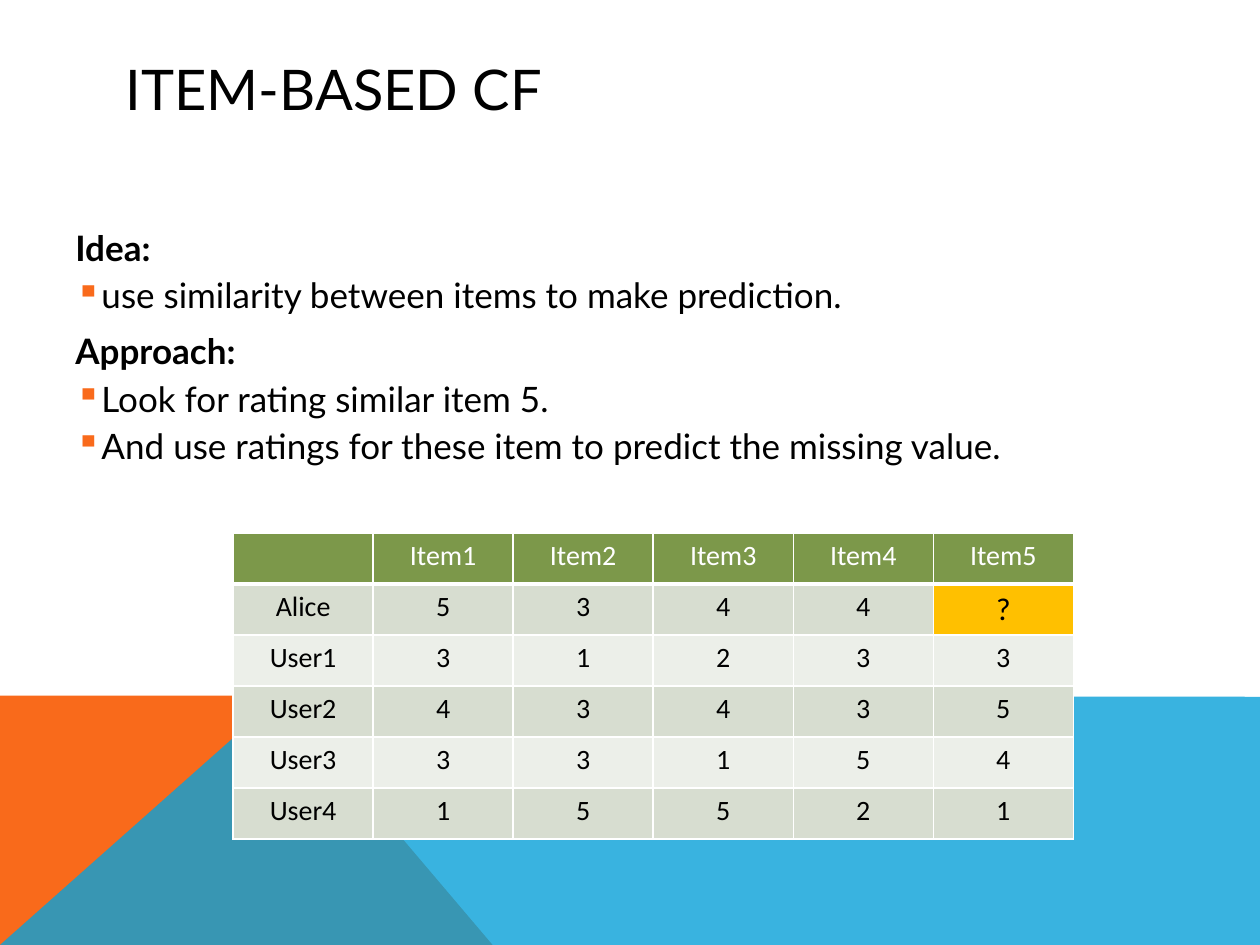
import pptx
import pptx.util
import pptx.dml.color
import pptx.enum.text
import pptx.oxml
import pptx.oxml.ns
from lxml import etree

Inches = pptx.util.Inches
Pt = pptx.util.Pt
RGBColor = pptx.dml.color.RGBColor
qn = pptx.oxml.ns.qn

BLACK = RGBColor(0x00, 0x00, 0x00)
WHITE = RGBColor(0xFF, 0xFF, 0xFF)
ORANGE = RGBColor(0xF9, 0x6A, 0x1B)
BLUE = RGBColor(0x08, 0xA1, 0xD9)
GREEN = RGBColor(0x7C, 0x98, 0x4A)
AMBER = RGBColor(0xFF, 0xC0, 0x00)
BANDS = [RGBColor(0xD7, 0xDD, 0xD0), RGBColor(0xEC, 0xEF, 0xE9)]

TITLE = "ITEM-BASED CF"
SECTIONS = [
    ("Idea:", ["use similarity between items to make prediction."]),
    ("Approach:", [
        "Look for rating similar item 5.",
        "And use ratings for these item to predict the missing value.",
    ]),
]
RATINGS = [
    ["", "Item1", "Item2", "Item3", "Item4", "Item5"],
    ["Alice", "5", "3", "4", "4", "?"],
    ["User1", "3", "1", "2", "3", "3"],
    ["User2", "4", "3", "4", "3", "5"],
    ["User3", "3", "3", "1", "5", "4"],
    ["User4", "1", "5", "5", "2", "1"],
]
TRIANGLE = [(0, 7.5), (0, 5.52), (2.23, 5.52), (3.91, 7.5)]
BAND = [(0, 7.5), (2.23, 5.52), (10, 5.53), (10, 7.5)]


def add_text(para, text, font="Lato", size=20, color=BLACK, bold=False):
    span = para.add_run()
    span.text = text
    span.font.name = font
    span.font.size = Pt(size)
    span.font.color.rgb = color
    span.font.bold = bold


def add_box(page, left, top, width, height, anchor):
    box = page.shapes.add_textbox(Inches(left), Inches(top), Inches(width), Inches(height))
    box.text_frame.word_wrap = True
    box.text_frame.vertical_anchor = anchor
    return box.text_frame


def add_polygon(page, points, color, opacity=100):
    corners = [(Inches(x), Inches(y)) for x, y in points]
    builder = page.shapes.build_freeform(*corners[0])
    builder.add_line_segments(corners[1:], close=True)
    shape = builder.convert_to_shape()
    shape.shadow.inherit = False
    shape.fill.solid()
    shape.fill.fore_color.rgb = color
    shape.line.fill.background()
    if opacity < 100:
        tint = shape.fill._xPr.find(".//" + qn("a:srgbClr"))
        etree.SubElement(tint, qn("a:alpha"), val=str(opacity * 1000))


def add_bullet(para, indent):
    properties = para._p.get_or_add_pPr()
    properties.set("marL", str(Inches(indent)))
    properties.set("indent", str(-Inches(indent)))
    color = etree.SubElement(properties, qn("a:buClr"))
    etree.SubElement(color, qn("a:srgbClr"), val=str(ORANGE))
    etree.SubElement(properties, qn("a:buChar"), char="▪")


def add_sections(frame):
    para = frame.paragraphs[0]
    for heading, points in SECTIONS:
        if para.runs:
            para = frame.add_paragraph()
        para.space_before = Pt(8)
        add_text(para, heading, bold=True)
        for point in points:
            para = frame.add_paragraph()
            para.space_before = Pt(3)
            add_bullet(para, 0.19)
            add_text(para, point)


def set_borders(cell, bottom):
    properties = cell._tc.get_or_add_tcPr()
    for position, (side, width) in enumerate([("L", 1), ("R", 1), ("T", 1), ("B", bottom)]):
        line = etree.Element(qn("a:ln" + side), w=str(Pt(width)))
        fill = etree.SubElement(line, qn("a:solidFill"))
        etree.SubElement(fill, qn("a:srgbClr"), val=str(WHITE))
        properties.insert(position, line)


def add_ratings(page):
    rows, columns = len(RATINGS), len(RATINGS[0])
    table = page.shapes.add_table(
        rows, columns, Inches(1.85), Inches(4.23), Inches(6.67), Inches(2.43)
    ).table
    for row, values in enumerate(RATINGS):
        for column, value in enumerate(values):
            cell = table.cell(row, column)
            header, missing = row == 0, value == "?"
            cell.fill.solid()
            cell.fill.fore_color.rgb = (
                GREEN if header else AMBER if missing else BANDS[(row - 1) % 2]
            )
            set_borders(cell, bottom=3 if header else 1)
            if value:
                para = cell.text_frame.paragraphs[0]
                para.alignment = pptx.enum.text.PP_ALIGN.CENTER
                add_text(para, value, font="Calibri", size=18 if missing else 16,
                         color=WHITE if header else BLACK)


def main():
    deck = pptx.Presentation()
    deck.slide_width, deck.slide_height = Inches(10), Inches(7.5)
    page = deck.slides.add_slide(deck.slide_layouts[6])
    add_polygon(page, TRIANGLE, ORANGE)
    add_polygon(page, BAND, BLUE, opacity=80)
    title = add_box(page, 0.9, 0.4, 8.22, 0.6, pptx.enum.text.MSO_ANCHOR.MIDDLE)
    add_text(title.paragraphs[0], TITLE, size=32)
    add_sections(add_box(page, 0.5, 1.75, 9, 2.34, pptx.enum.text.MSO_ANCHOR.TOP))
    add_ratings(page)
    deck.save("out.pptx")


if __name__ == "__main__":
    main()
